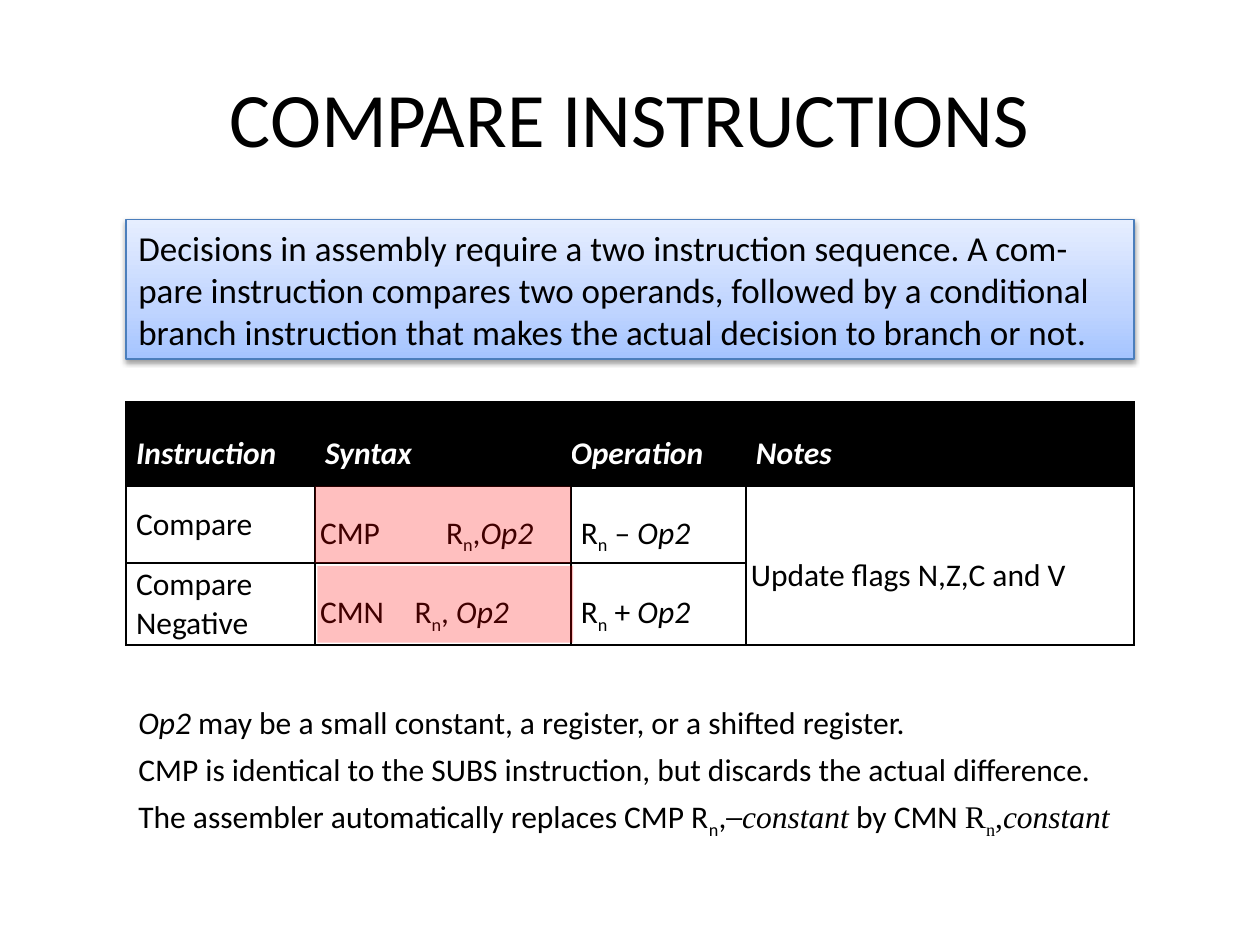
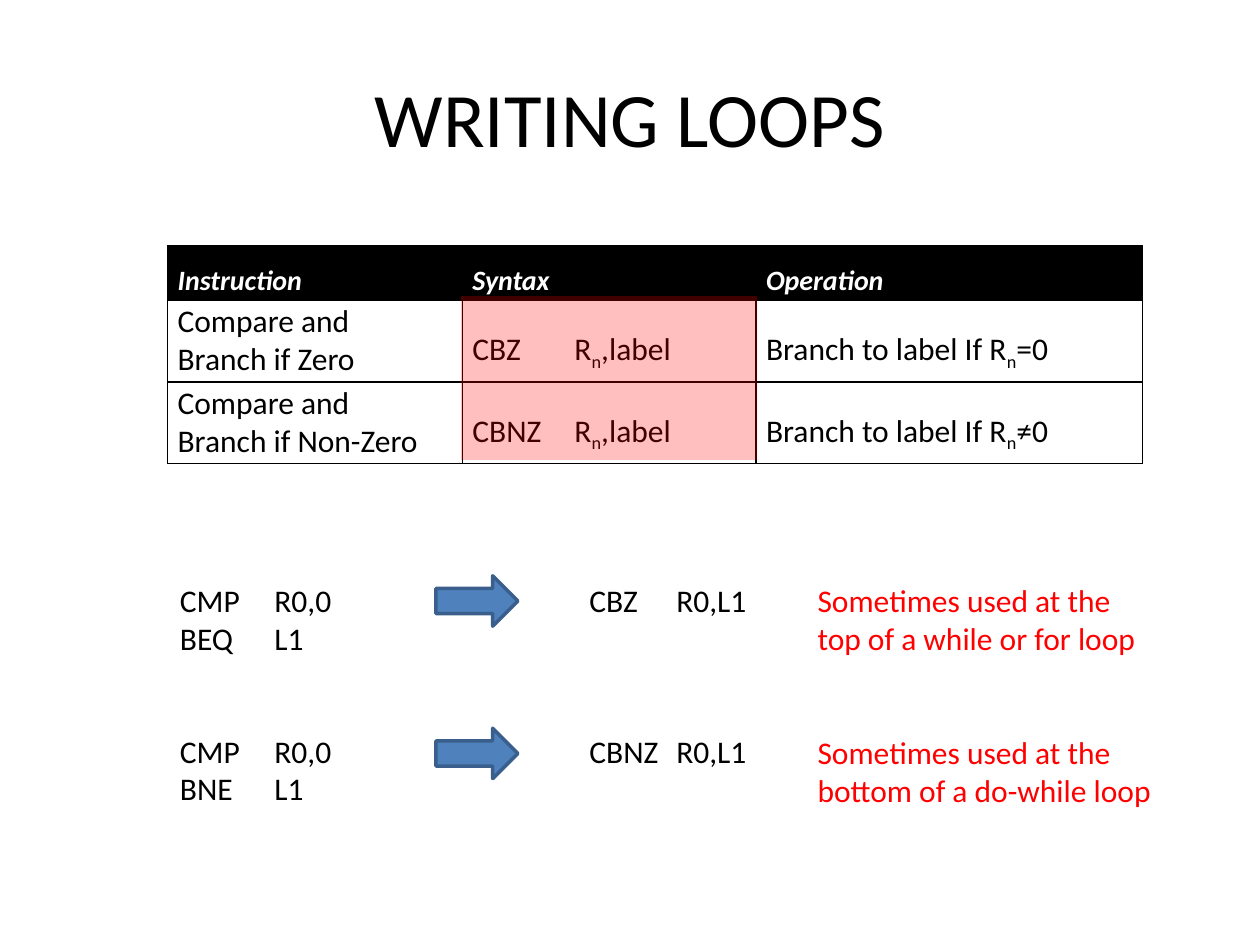
from dataclasses import dataclass

import pptx
import pptx.dml.color
import pptx.enum.shapes
import pptx.enum.text
import pptx.oxml
import pptx.oxml.ns
import pptx.util
from lxml import etree
from pptx.util import Inches

Shape = pptx.enum.shapes.MSO_SHAPE
Align = pptx.enum.text.PP_ALIGN
Anchor = pptx.enum.text.MSO_ANCHOR
qn = pptx.oxml.ns.qn


@dataclass(frozen=True)
class Theme:
    ink: str = "000000"
    paper: str = "FFFFFF"
    red: str = "FF0000"
    blue: str = "4F81BD"
    edge: str = "3A5F8C"
    rim: str = "4B7EBC"
    glow: tuple = ((0, "A4C4FF"), (35, "BFD4FF"), (100, "E6EEFF"))
    sans: str = "Calibri"
    serif: str = "Times New Roman"
    title: int = 44
    lead: int = 20
    body: int = 18
    small: int = 16


@dataclass(frozen=True)
class Box:
    left: float
    top: float
    width: float
    height: float

    def emu(self) -> tuple:
        return tuple(Inches(v) for v in (self.left, self.top, self.width, self.height))


@dataclass(frozen=True)
class Style:
    size: int
    color: str = "000000"
    strong: bool = False
    line: float = 1.0
    tabs: tuple = ()
    align: Align = Align.LEFT


@dataclass(frozen=True)
class Grid:
    box: Box
    cols: tuple
    rows: tuple
    text: tuple
    head_size: int
    head_pads: tuple
    body_pads: tuple
    tabs: tuple


THEME = Theme()
BODY = Style(THEME.body)


def rgb(code: str) -> pptx.dml.color.RGBColor:
    return pptx.dml.color.RGBColor.from_string(code)


def sub(parent, tag: str, **attrs):
    return etree.SubElement(parent, qn(tag), {k: str(v) for k, v in attrs.items()})


def add_run(para, text: str, style: Style, marks: set) -> None:
    run = para.add_run()
    run.text = text
    font = run.font
    font.name = THEME.serif if "^" in marks else THEME.sans
    font.size = pptx.util.Pt(style.size)
    font.color.rgb = rgb(style.color)
    font.bold = style.strong
    font.italic = style.strong or "*" in marks
    if "_" in marks:
        font._element.set("baseline", "-25000")


def write(frame, text: str, style: Style) -> None:
    """Fill a frame; * toggles italic, _ subscript and ^ the serif font."""
    for i, row in enumerate(text.split("\n")):
        para = frame.add_paragraph() if i else frame.paragraphs[0]
        para.alignment = style.align
        para.line_spacing = style.line
        if style.tabs:
            stops = sub(para._p.get_or_add_pPr(), "a:tabLst")
            for pos in style.tabs:
                sub(stops, "a:tab", pos=Inches(pos), algn="l")
        marks, part = set(), ""
        for char in row:
            if char in "*_^":
                if part:
                    add_run(para, part, style, marks)
                marks ^= {char}
                part = ""
            else:
                part += char
        if part:
            add_run(para, part, style, marks)


def add_text(slide, box: Box, text: str, style: Style = BODY):
    frame = slide.shapes.add_textbox(*box.emu()).text_frame
    frame.word_wrap = True
    write(frame, text, style)
    return frame


def add_title(slide, text: str) -> None:
    style = Style(THEME.title, align=Align.CENTER)
    frame = add_text(slide, Box(0.5, 0.3, 9, 1.25), text, style)
    frame.vertical_anchor = Anchor.MIDDLE


def add_shape(slide, kind: Shape, box: Box):
    shape = slide.shapes.add_shape(kind, *box.emu())
    shape.shadow.inherit = False
    return shape


def add_shade(slide, box: Box) -> None:
    """Tint part of a table with see-through red."""
    shape = add_shape(slide, Shape.RECTANGLE, box)
    shape.fill.solid()
    shape.fill.fore_color.rgb = rgb(THEME.red)
    shape.line.fill.background()
    color = shape._element.spPr.find(qn("a:solidFill"))[0]
    sub(color, "a:alpha", val=25000)


def add_arrow(slide, box: Box) -> None:
    shape = add_shape(slide, Shape.RIGHT_ARROW, box)
    shape.fill.solid()
    shape.fill.fore_color.rgb = rgb(THEME.blue)
    shape.line.color.rgb = rgb(THEME.edge)
    shape.line.width = pptx.util.Pt(2)


def add_lead(slide, box: Box, text: str) -> None:
    """Add the glowing text panel with its soft shadow."""
    shape = add_shape(slide, Shape.RECTANGLE, box)
    shape.fill.gradient()
    shape.fill.gradient_angle = 90
    props = shape._element.spPr
    stops = props.find(qn("a:gradFill")).find(qn("a:gsLst"))
    for stop in list(stops):
        stops.remove(stop)
    for pos, code in THEME.glow:
        sub(sub(stops, "a:gs", pos=pos * 1000), "a:srgbClr", val=code)
    shape.line.color.rgb = rgb(THEME.rim)
    shape.line.width = pptx.util.Pt(0.75)
    cast = sub(props.find(qn("a:effectLst")), "a:outerShdw", blurRad=pptx.util.Pt(3.1),
               dist=pptx.util.Pt(1.6), dir=90 * 60000, rotWithShape=0)
    sub(sub(cast, "a:srgbClr", val=THEME.ink), "a:alpha", val=38000)
    shape.text_frame.word_wrap = True
    write(shape.text_frame, text, Style(THEME.lead))


def add_edges(cell) -> None:
    props = cell._tc.get_or_add_tcPr()
    for i, side in enumerate("LRTB"):
        line = sub(props, f"a:ln{side}", w=pptx.util.Pt(1))
        sub(sub(line, "a:solidFill"), "a:srgbClr", val=THEME.ink)
        props.insert(i, line)


def add_grid(slide, grid: Grid):
    frame = slide.shapes.add_table(len(grid.rows), len(grid.cols), *grid.box.emu())
    table = frame.table
    table.first_row = table.horz_banding = False
    for col, width in zip(table.columns, grid.cols):
        col.width = Inches(width)
    for r, height in enumerate(grid.rows):
        table.rows[r].height = Inches(height)
        head = r == 0
        pads = grid.head_pads if head else grid.body_pads
        for c, text in enumerate(grid.text[r]):
            cell = table.cell(r, c)
            cell.margin_left = Inches(pads[c])
            cell.margin_right = 0
            cell.margin_top = cell.margin_bottom = Inches(0.01 if head else 0.02)
            cell.vertical_anchor = Anchor.MIDDLE
            if head:
                cell.fill.solid()
                cell.fill.fore_color.rgb = rgb(THEME.ink)
                style = Style(grid.head_size, THEME.paper, True, 1.5)
            else:
                cell.fill.background()
                tabs = (grid.tabs[r - 1],) if "\t" in text else ()
                style = Style(THEME.body, line=1.5 if c else 1.0, tabs=tabs)
            add_edges(cell)
            if text:
                write(cell.text_frame, text, style)
    return table


def build_compare(slide) -> None:
    table = add_grid(slide, Grid(
        Box(1, 3.19, 8, 1.92), (1.5, 2.03, 1.39, 3.08), (0.67, 0.61, 0.65),
        (("Instruction", "Syntax", "Operation", "Notes"),
         ("Compare", "CMP\tR_n_,*Op2*", "R_n_ – *Op2*", "Update flags N,Z,C and V"),
         ("Compare Negative", "CMN\tR_n_,* Op2*", "R_n_ + *Op2*", "")),
        THEME.body, (0.08, 0.08, 0, 0.08), (0.08, 0.04, 0.08, 0.04), (1, 0.75)))
    table.cell(1, 3).merge(table.cell(2, 3))
    add_title(slide, "COMPARE INSTRUCTIONS")
    for left, top in ((2.5, 3.86), (2.52, 4.49)):
        add_shade(slide, Box(left, top, 2.03, 0.61))
    add_lead(slide, Box(1, 1.74, 8, 1.11),
             "Decisions in assembly require a two instruction sequence. A com-pare "
             "instruction compares two operands, followed by a conditional branch "
             "instruction that makes the actual decision to branch or not.")
    notes = (
        "*Op2* may be a small constant, a register, or a shifted register.",
        "CMP is identical to the SUBS instruction, but discards the actual difference.",
        "The assembler automatically replaces CMP R_n_,─^*constant*^ by CMN "
        "^R_n_,*constant*^",
    )
    for i, note in enumerate(notes):
        add_text(slide, Box(1, 5.53 + 0.375 * i, 8, 0.4), note)


def build_loops(slide) -> None:
    pads = (0.08,) * 3
    add_grid(slide, Grid(
        Box(1.33, 1.95, 7.74, 1.73), (2.34, 2.33, 3.07), (0.43, 0.65, 0.65),
        (("Instruction", "Syntax", "Operation"),
         ("Compare and\nBranch if Zero", "CBZ\tR_n_,label", "Branch to label If R_n_=0"),
         ("Compare and\nBranch if Non-Zero", "CBNZ\tR_n_,label",
          "Branch to label If R_n_≠0")),
        THEME.small, pads, pads, (0.81, 0.81)))
    add_title(slide, "WRITING LOOPS")
    code = Style(THEME.body, tabs=(0.75, 1.75, 3.25, 3.94))
    frame = add_text(slide, Box(1.33, 4.56, 4.96, 1.92),
                     "CMP\tR0,0\t\tCBZ\tR0,L1\nBEQ\tL1\n"
                     "CMP\tR0,0\t\tCBNZ\tR0,L1\nBNE\tL1", code)
    frame.paragraphs[2].space_before = pptx.util.Pt(43)
    uses = ("top of a while or for loop", "bottom of a do-while loop")
    for i, use in enumerate(uses):
        drop = 1.21 * i
        add_arrow(slide, Box(3.46, 4.57 + drop, 0.65, 0.4))
        add_text(slide, Box(6.39, 4.56 + drop, 2.89, 0.71),
                 f"Sometimes used at the {use}", Style(THEME.body, THEME.red))
        add_shade(slide, Box(3.66, 2.35 + 0.65 * i, 2.35, 0.65))


def main() -> None:
    deck = pptx.Presentation()
    deck.slide_width, deck.slide_height = Inches(10), Inches(7.5)
    for build in (build_compare, build_loops):
        build(deck.slides.add_slide(deck.slide_layouts[6]))
    deck.save("out.pptx")


if __name__ == "__main__":
    main()
